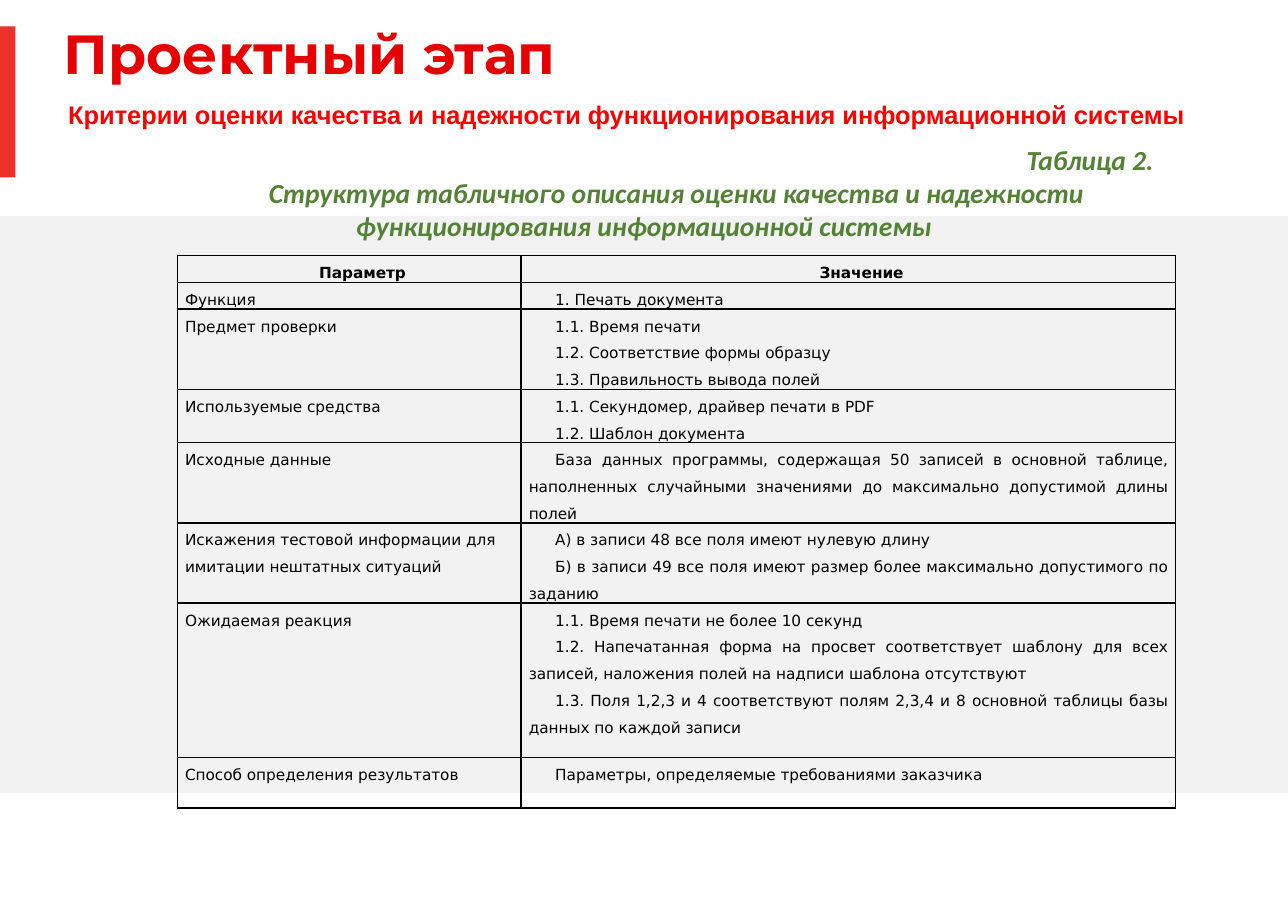
import pptx
import pptx.util
import pptx.dml.color
import pptx.enum.shapes
import pptx.enum.text
import pptx.oxml
import pptx.oxml.ns

Inches = pptx.util.Inches
Pt = pptx.util.Pt
RGBColor = pptx.dml.color.RGBColor
ALIGN = pptx.enum.text.PP_ALIGN
ANCHOR = pptx.enum.text.MSO_ANCHOR

BLACK = RGBColor(0, 0, 0)
GRAY = RGBColor(0xF2, 0xF2, 0xF2)
BAR_RED = RGBColor(0xEE, 0x31, 0x2C)
TITLE_RED = RGBColor(0xE6, 0, 0)
SUBTITLE_RED = RGBColor(0xFF, 0, 0)
GREEN = RGBColor(0x54, 0x82, 0x35)

TITLE = "Проектный этап"
SUBTITLE = "Критерии оценки качества и надежности функционирования информационной системы"
CAPTION = [
    ("Таблица 2.", ALIGN.RIGHT),
    ("Структура табличного описания оценки качества и надежности "
     "функционирования информационной системы", ALIGN.CENTER),
]
HEADER = ("Параметр", ["Значение"])
CRITERIA = [
    ("Функция", ["1. Печать документа"]),
    ("Предмет проверки", [
        "1.1. Время печати",
        "1.2. Соответствие формы образцу",
        "1.3. Правильность вывода полей"]),
    ("Используемые средства", [
        "1.1. Секундомер, драйвер печати в PDF",
        "1.2. Шаблон документа"]),
    ("Исходные данные", [
        "База данных программы, содержащая 50 записей в основной таблице, "
        "наполненных случайными значениями до максимально допустимой длины полей"]),
    ("Искажения тестовой информации для имитации нештатных ситуаций", [
        "А) в записи 48 все поля имеют нулевую длину",
        "Б) в записи 49 все поля имеют размер более максимально допустимого по заданию"]),
    ("Ожидаемая реакция", [
        "1.1. Время печати не более 10 секунд",
        "1.2. Напечатанная форма на просвет соответствует шаблону для всех записей, "
        "наложения полей на надписи шаблона отсутствуют",
        "1.3. Поля 1,2,3 и 4 соответствуют полям 2,3,4 и 8 основной таблицы базы "
        "данных по каждой записи"]),
    ("Способ определения результатов", ["Параметры, определяемые требованиями заказчика"]),
]
COLUMN_WIDTHS = [3.12, 5.94]
ROW_HEIGHTS = [0.23, 0.23, 0.69, 0.46, 0.69, 0.69, 1.4, 0.46]
BACKDROP = [((0, 1.96, 11.69, 5.24), GRAY), ((0, 0.24, 0.14, 1.37), BAR_RED)]


def add_rectangle(slide, box, color):
    shape = slide.shapes.add_shape(
        pptx.enum.shapes.MSO_SHAPE.RECTANGLE, *map(Inches, box))
    shape.shadow.inherit = False
    shape.fill.solid()
    shape.fill.fore_color.rgb = color
    shape.line.fill.background()


def set_frame(frame, anchor, horizontal, vertical):
    frame.word_wrap = True
    frame.auto_size = pptx.enum.text.MSO_AUTO_SIZE.NONE
    frame.vertical_anchor = anchor
    frame.margin_left = frame.margin_right = Inches(horizontal)
    frame.margin_top = frame.margin_bottom = Inches(vertical)


def write(frame, lines, name, size, color, bold=False, italic=False,
          spacing=1.0, margin=0, indent=0):
    for index, (text, align) in enumerate(lines):
        paragraph = frame.paragraphs[0] if index == 0 else frame.add_paragraph()
        paragraph.text = text
        paragraph.alignment = align
        paragraph.line_spacing = spacing
        properties = paragraph._p.get_or_add_pPr()
        properties.set("marL", str(Inches(margin)))
        properties.set("indent", str(Inches(indent)))
        font = paragraph.font
        font.name, font.size = name, Pt(size)
        font.bold, font.italic = bold, italic
        font.color.rgb = color


def add_text(slide, box, anchor):
    frame = slide.shapes.add_textbox(*map(Inches, box)).text_frame
    set_frame(frame, anchor, 0.11, 0.06)
    return frame


def format_cell(cell):
    cell.margin_left = cell.margin_right = Inches(0.07)
    cell.margin_top = cell.margin_bottom = 0
    properties = cell._tc.get_or_add_tcPr()
    for side in ("lnL", "lnR", "lnT", "lnB"):
        properties.append(pptx.oxml.parse_xml(
            f'<a:{side} {pptx.oxml.ns.nsdecls("a")} w="{Pt(1)}"><a:solidFill>'
            f'<a:srgbClr val="{BLACK}"/></a:solidFill></a:{side}>'))
    cell.fill.background()


def add_criteria_table(slide):
    rows = [HEADER] + CRITERIA
    table = slide.shapes.add_table(
        len(rows), 2, Inches(1.61), Inches(2.32),
        Inches(sum(COLUMN_WIDTHS)), Inches(sum(ROW_HEIGHTS))).table
    table.first_row = table.horz_banding = False
    for column, width in zip(table.columns, COLUMN_WIDTHS):
        column.width = Inches(width)
    for index, (parameter, values) in enumerate(rows):
        table.rows[index].height = Inches(ROW_HEIGHTS[index])
        header = index == 0
        columns = [([parameter], ALIGN.LEFT, 0), (values, ALIGN.JUSTIFY, 0.24)]
        for column, (texts, align, indent) in enumerate(columns):
            cell = table.cell(index, column)
            format_cell(cell)
            lines = [(text, ALIGN.CENTER if header else align) for text in texts]
            write(cell.text_frame, lines, "DejaVu Sans", 10, BLACK, bold=header,
                  spacing=1.5, indent=0.24 if header else indent)


def main():
    presentation = pptx.Presentation()
    presentation.slide_width = Inches(11.69)
    presentation.slide_height = Inches(8.27)
    slide = presentation.slides.add_slide(presentation.slide_layouts[5])

    for box, color in BACKDROP:
        add_rectangle(slide, box, color)

    title = slide.shapes.title
    title.left, title.top, title.width, title.height = map(
        Inches, (0.58, 0.24, 11.11, 0.55))
    set_frame(title.text_frame, ANCHOR.TOP, 0, 0)
    write(title.text_frame, [(TITLE, ALIGN.LEFT)], "Montserrat", 36, TITLE_RED,
          bold=True, spacing=0.9)

    caption = add_text(slide, (1.11, 1.24, 9.47, 1.05), ANCHOR.TOP)
    write(caption, CAPTION, "Calibri", 18, GREEN, bold=True, italic=True, indent=0.59)

    subtitle = add_text(slide, (0.41, 0.43, 10.74, 0.81), ANCHOR.BOTTOM)
    write(subtitle, [(SUBTITLE, ALIGN.LEFT)], "Arial", 16.6, SUBTITLE_RED,
          bold=True, spacing=0.9, margin=0.1)

    add_criteria_table(slide)
    presentation.save("out.pptx")


if __name__ == "__main__":
    main()
